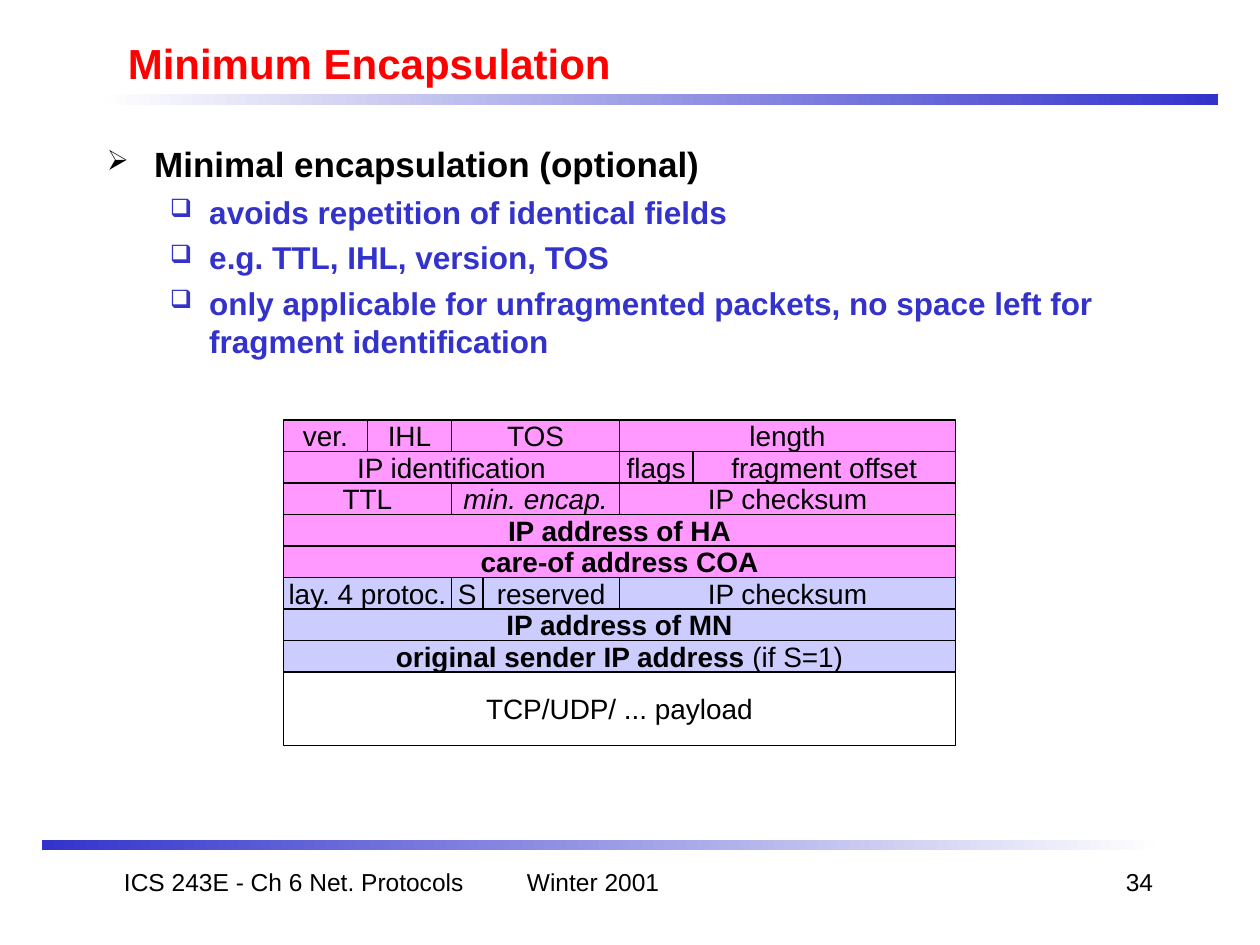
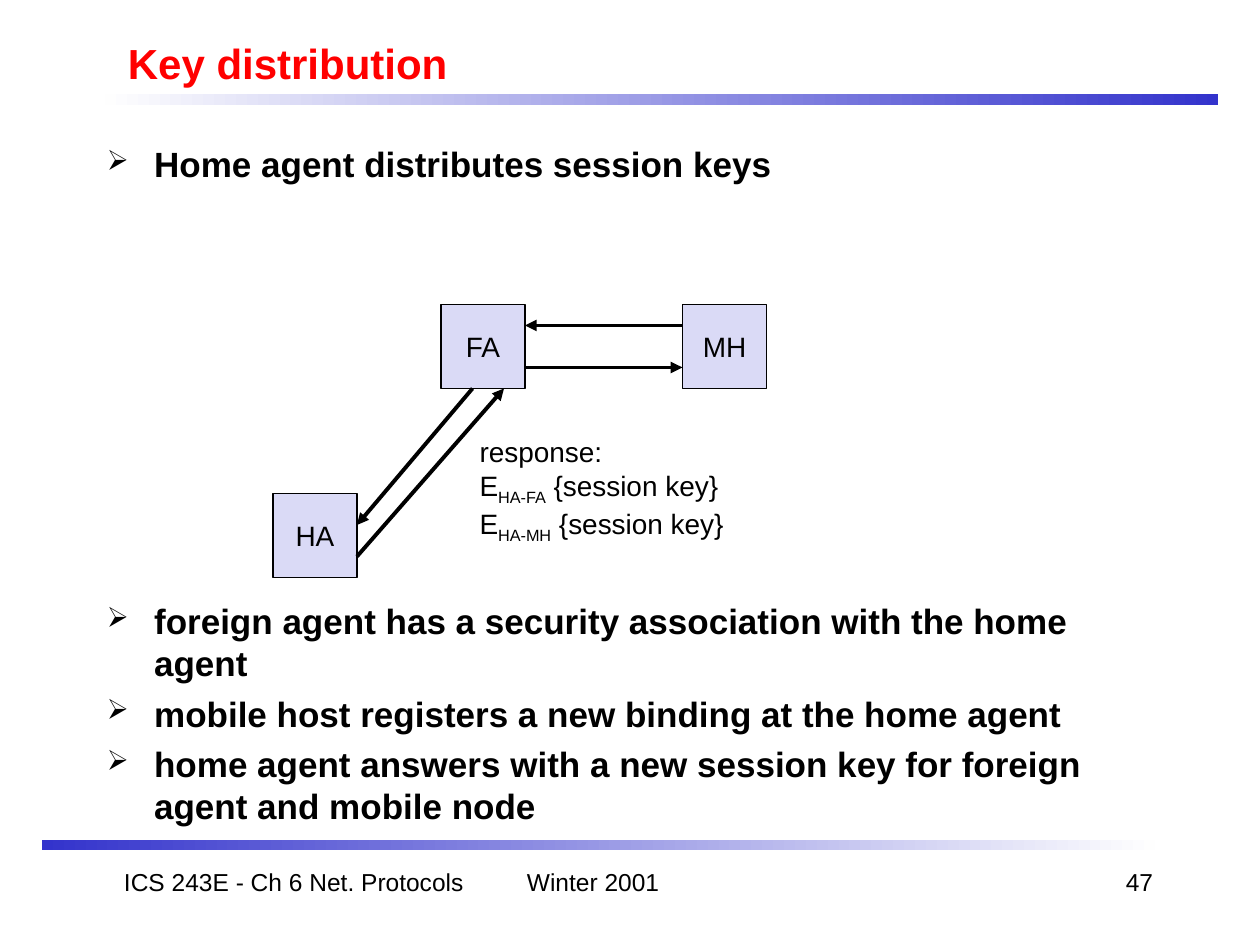
"""Build two lecture slides: minimal encapsulation and key distribution."""
from lxml.etree import SubElement
from pptx import Presentation
from pptx.dml.color import RGBColor
from pptx.enum.shapes import MSO_CONNECTOR as LINK, MSO_SHAPE as SHAPE
from pptx.enum.text import MSO_ANCHOR as ANCHOR, PP_ALIGN as ALIGN
from pptx.oxml.ns import qn
from pptx.util import Pt

BLACK = RGBColor(0x00, 0x00, 0x00)
RED = RGBColor(0xFF, 0x00, 0x00)
BLUE = RGBColor(0x33, 0x33, 0xCC)
PALE = RGBColor(0xFE, 0xFE, 0xFE)
PINK = RGBColor(0xFF, 0x99, 0xFF)
LILAC = RGBColor(0xCC, 0xCC, 0xFF)
MIST = RGBColor(0xDA, 0xDA, 0xF6)


def style(par, text, size, color=BLACK, bold=False, italic=False):
    par.add_run().text = text
    font = par.font
    font.name, font.size = "Arial", Pt(size)
    font.bold, font.italic = bold, italic
    font.color.rgb = color


def box(slide, x, y, w, h, fill, text, bold=False, italic=False):
    rect = slide.shapes.add_shape(SHAPE.RECTANGLE, Pt(x), Pt(y), Pt(w), Pt(h))
    rect.shadow.inherit = False
    if fill is None:
        rect.fill.background()
    else:
        rect.fill.solid()
        rect.fill.fore_color.rgb = fill
    rect.line.color.rgb = BLACK
    rect.line.width = Pt(0.75)
    frame = rect.text_frame
    frame.word_wrap = False
    frame.vertical_anchor = ANCHOR.MIDDLE
    par = frame.paragraphs[0]
    par.alignment = ALIGN.CENTER
    style(par, text, 16, bold=bold, italic=italic)
    return par


prs = Presentation()
prs.slide_width, prs.slide_height = Pt(720), Pt(540)

LEVELS = [(27, 27, "➢", 20, BLACK, True), (58.5, 22.5, "❑", 18, BLUE, True)]
BANDS = [(60, 54, BLUE, PALE), (24, 480, PALE, BLUE)]

pages = [
    ("Minimum Encapsulation", "34", 138, [
        (0, 0, "Minimal encapsulation (optional)"),
        (1, 4.5, "avoids repetition of identical fields"),
        (1, 4.5, "e.g. TTL, IHL, version, TOS"),
        (1, 4.5, "only applicable for unfragmented packets, no space left for "
                 "fragment identification"),
    ]),
    ("Key distribution", "47", 402, [
        (0, 0, "Home agent distributes session keys"),
        (0, 237, "foreign agent has a security association with the home agent"),
        (0, 5, "mobile host registers a new binding at the home agent"),
        (0, 5, "home agent answers with a new session key for foreign agent "
               "and mobile node"),
    ]),
]

for title, number, height, items in pages:
    slide = prs.slides.add_slide(prs.slide_layouts[6])
    for x, y, right, left in BANDS:
        band = slide.shapes.add_shape(SHAPE.RECTANGLE, Pt(x), Pt(y), Pt(636), Pt(6))
        band.shadow.inherit = False
        band.line.fill.background()
        band.fill.gradient()
        band.fill.gradient_angle = 180
        for stop, color in zip(band.fill.gradient_stops, (right, left)):
            stop.color.rgb = color

    labels = [
        (66, 18, 612, title, 24, RED, True, ALIGN.LEFT, ANCHOR.MIDDLE),
        (54, 492, 228, "ICS 243E - Ch 6 Net. Protocols", 14, BLACK, False,
         ALIGN.CENTER, ANCHOR.TOP),
        (294, 492, 150, "Winter 2001", 14, BLACK, False, ALIGN.LEFT, ANCHOR.TOP),
        (516, 492, 150, number, 14, BLACK, False, ALIGN.RIGHT, ANCHOR.TOP),
    ]
    for x, y, w, text, size, color, bold, align, anchor in labels:
        frame = slide.shapes.add_textbox(Pt(x), Pt(y), Pt(w), Pt(36)).text_frame
        frame.word_wrap = True
        frame.vertical_anchor = anchor
        frame.paragraphs[0].alignment = align
        style(frame.paragraphs[0], text, size, color, bold)

    frame = slide.shapes.add_textbox(Pt(54), Pt(78), Pt(612), Pt(height)).text_frame
    frame.word_wrap = True
    for i, (level, space, text) in enumerate(items):
        par = frame.add_paragraph() if i else frame.paragraphs[0]
        margin, hang, mark, size, color, bold = LEVELS[level]
        props = par._p.get_or_add_pPr()
        props.set("marL", str(Pt(margin)))
        props.set("indent", str(-Pt(hang)))
        tint = SubElement(props, qn("a:buClr"))
        SubElement(tint, qn("a:srgbClr"), val=str(color))
        SubElement(props, qn("a:buSzPct"), val="80000")
        SubElement(props, qn("a:buChar"), char=mark)
        par.level = level
        par.space_before = Pt(space)
        style(par, text, size, color, bold)

packet, keys = prs.slides

rows = [
    (PINK, 18, [("ver.", 48), ("IHL", 48), ("TOS", 96), ("length", 192)]),
    (PINK, 18, [("IP identification", 192), ("flags", 42), ("fragment offset", 150)]),
    (PINK, 18, [("TTL", 96), ("min. encap.", 96, False, True), ("IP checksum", 192)]),
    (PINK, 18, [("IP address of HA", 384, True)]),
    (PINK, 18, [("care-of address COA", 384, True)]),
    (LILAC, 18, [("lay. 4 protoc.", 96), ("S", 18), ("reserved", 78),
                 ("IP checksum", 192)]),
    (LILAC, 18, [("IP address of MN", 384, True)]),
    (LILAC, 18, [("original sender IP address ", 384, True)]),
    (None, 42, [("TCP/UDP/ ... payload", 384)]),
]
y = 240
for fill, h, cells in rows:
    x = 162
    for text, w, *face in cells:
        par = box(packet, x, y, w, h, fill, text, *face)
        if text.startswith("original"):
            run = par.add_run()
            run.text = "(if S=1)"
            run.font.bold = False
        x += w
    y += h

for name, x, y in [("FA", 252, 174), ("MH", 390, 174), ("HA", 156, 282)]:
    box(keys, x, y, 48, 48, MIST, name)

arrows = [(270, 222, 204, 300), (204, 318, 288, 222),
          (390, 186, 300, 186), (300, 210, 390, 210)]
for ends in arrows:
    arrow = keys.shapes.add_connector(LINK.STRAIGHT, *map(Pt, ends))
    arrow.line.color.rgb = BLACK
    arrow.line.width = Pt(2.25)
    props = arrow._element.spPr
    SubElement(props.find(qn("a:ln")), qn("a:tailEnd"), type="triangle")
    SubElement(props, qn("a:effectLst"))

frame = keys.shapes.add_textbox(Pt(267), Pt(245), Pt(160), Pt(89)).text_frame
frame.word_wrap = True
style(frame.paragraphs[0], "response:", 16)
for pair in ("HA-FA", "HA-MH"):
    par = frame.add_paragraph()
    style(par, "E", 16)
    sub = par.add_run()
    sub.text = pair
    sub._r.get_or_add_rPr().set("baseline", "-25000")
    par.add_run().text = " {session key}"

prs.save("out.pptx")
